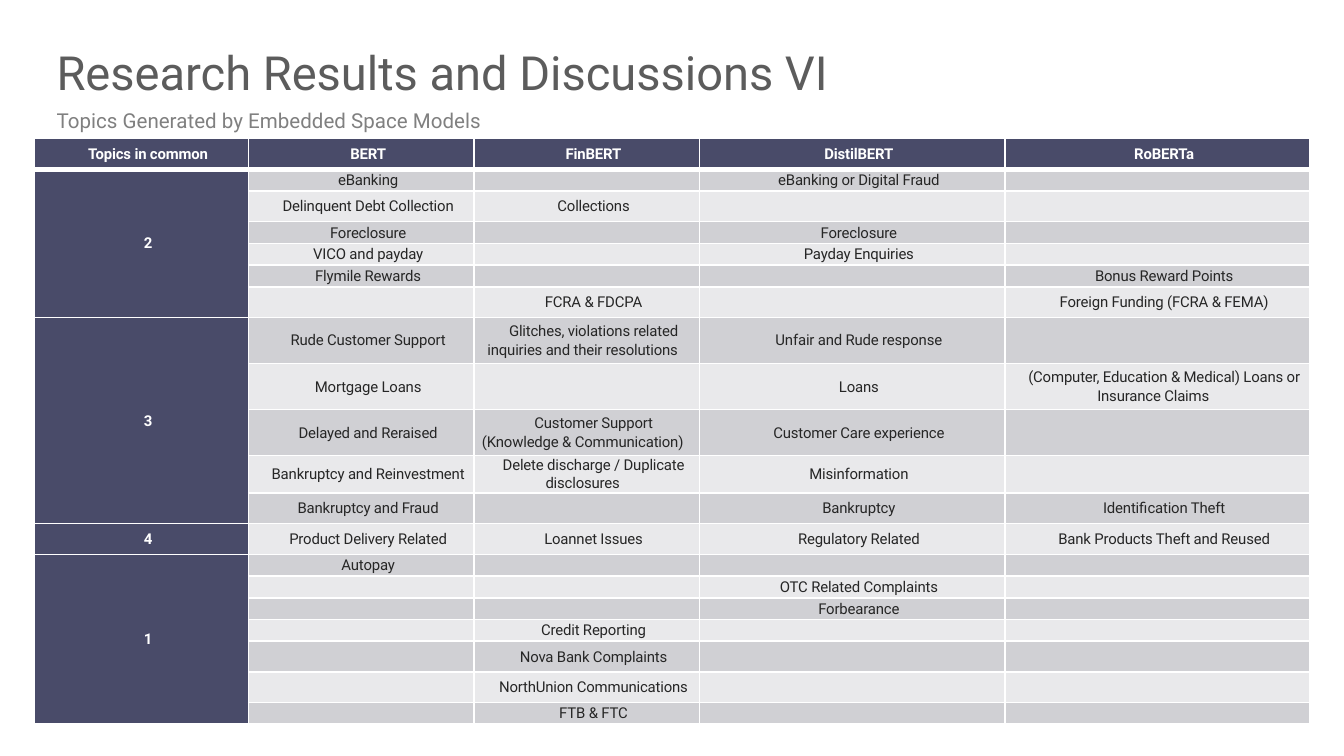
"""Build the slide comparing the topics found by four embedding models."""
from lxml.etree import SubElement
from pptx import Presentation
from pptx.dml.color import RGBColor as Rgb
from pptx.enum.text import MSO_ANCHOR as Anchor, PP_ALIGN as Align
from pptx.oxml.ns import qn
from pptx.util import Cm, Pt

COLORS = {"title": "5C5C5C", "subtitle": "808080", "header": "494B69", "dark_band": "D0D0D4",
          "light_band": "E9E9EB", "text": "262626", "white": "FFFFFF"}
FONT = "Roboto"
COLUMN_WIDTHS = [4.06, 4.26, 4.26, 5.77, 5.77]
LOW, MIDDLE, HIGH = 0.41, 0.58, 0.87
CELL_FORMAT = {"margin_left": 0, "margin_top": 0, "margin_right": Cm(0.15), "margin_bottom": 0,
               "vertical_anchor": Anchor.MIDDLE}
BOX_FORMAT = {"margin_left": 0, "margin_top": 0, "margin_right": 0, "margin_bottom": 0,
              "vertical_anchor": Anchor.MIDDLE}
HEADINGS = [
    ("Topics Generated by Embedded Space Models", 2.03, 0.48, 11, "subtitle", False),
    ("Research Results and Discussions VI", 0.79, 1.14, 25.2, "title", True),
]
ROWS = [
    (MIDDLE, "Topics in common", "BERT", "FinBERT", "DistilBERT", "RoBERTa"),
    (LOW, "2", "eBanking", "", "eBanking or Digital Fraud", ""),
    (MIDDLE, "", "Delinquent Debt Collection", "Collections", "", ""),
    (LOW, "", "Foreclosure", "", "Foreclosure", ""),
    (LOW, "", "VICO and payday", "", "Payday Enquiries", ""),
    (LOW, "", "Flymile Rewards", "", "", "Bonus Reward Points"),
    (MIDDLE, "", "", "FCRA & FDCPA", "", "Foreign Funding (FCRA & FEMA)"),
    (HIGH, "3", "Rude Customer Support",
     "Glitches, violations related inquiries and their resolutions", "Unfair and Rude response", ""),
    (HIGH, "", "Mortgage Loans", "", "Loans",
     "(Computer, Education & Medical) Loans or Insurance Claims"),
    (HIGH, "", "Delayed and Reraised", "Customer Support (Knowledge & Communication)",
     "Customer Care experience", ""),
    (MIDDLE, "", "Bankruptcy and Reinvestment", "Delete discharge / Duplicate disclosures",
     "Misinformation", ""),
    (MIDDLE, "", "Bankruptcy and Fraud", "", "Bankruptcy", "Identification Theft"),
    (MIDDLE, "4", "Product Delivery Related", "Loannet Issues", "Regulatory Related",
     "Bank Products Theft and Reused"),
    (LOW, "1", "Autopay", "", "", ""),
    (LOW, "", "", "", "OTC Related Complaints", ""),
    (LOW, "", "", "", "Forbearance", ""),
    (LOW, "", "", "Credit Reporting", "", ""),
    (MIDDLE, "", "", "Nova Bank Complaints", "", ""),
    (MIDDLE, "", "", "NorthUnion Communications", "", ""),
    (LOW, "", "", "FTB & FTC", "", ""),
]


def add_span(para, text, size, color, bold=False):
    span = para.add_run()
    span.text = text
    for name, value in {"name": FONT, "size": Pt(size), "bold": bold}.items():
        setattr(span.font, name, value)
    span.font.color.rgb = Rgb.from_string(COLORS[color])
    return span


def add_border(cell, side, width):
    line = SubElement(cell._tc.get_or_add_tcPr(), qn(f"a:ln{side}"), w=str(Pt(width)))
    fill = SubElement(line, qn("a:solidFill"))
    SubElement(fill, qn("a:srgbClr"), val=COLORS["white"])


deck = Presentation()
deck.slide_width, deck.slide_height = Cm(25.4), Cm(14.29)
page = deck.slides.add_slide(deck.slide_layouts[6])

for text, top, height, size, color, wrap in HEADINGS:
    box = page.shapes.add_textbox(Cm(1.07), Cm(top), Cm(23.24), Cm(height))
    for name, value in BOX_FORMAT.items():
        setattr(box.text_frame, name, value)
    box.text_frame.word_wrap = wrap
    para = box.text_frame.paragraphs[0]
    para.alignment = Align.LEFT
    add_span(para, text, size, color)

total_height = sum(row[0] for row in ROWS)
frame = page.shapes.add_table(len(ROWS), len(COLUMN_WIDTHS), Cm(0.64), Cm(2.62),
                              Cm(sum(COLUMN_WIDTHS)), Cm(total_height))
table = frame.table
table.horz_banding = False
for column, width in zip(table.columns, COLUMN_WIDTHS):
    column.width = Cm(width)

for row_index, (height, *texts) in enumerate(ROWS):
    table.rows[row_index].height = Cm(height)
    for column_index, text in enumerate(texts):
        cell = table.cell(row_index, column_index)
        heading = row_index == 0 or column_index == 0
        band = "dark_band" if row_index % 2 else "light_band"
        for name, value in CELL_FORMAT.items():
            setattr(cell, name, value)
        for side in "LRTB":
            thick = (row_index, side) in [(0, "B"), (1, "T")]
            add_border(cell, side, 3 if thick else 1)
        cell.fill.solid()
        cell.fill.fore_color.rgb = Rgb.from_string(COLORS["header" if heading else band])
        para = cell.text_frame.paragraphs[0]
        para.alignment, para.line_spacing = Align.CENTER, 1.05
        if text:
            para._p.get_or_add_pPr().set("indent", str(Cm(0.41)))
            span = add_span(para, text, 8, "white" if heading else "text", heading)
            span._r.get_or_add_rPr().set("spc", "-10")
        else:
            SubElement(para._p, qn("a:endParaRPr"), sz="800")

group_starts = [index for index, row in enumerate(ROWS) if row[1]] + [len(ROWS)]
for start, following in zip(group_starts, group_starts[1:]):
    if following - start > 1:
        table.cell(start, 0).merge(table.cell(following - 1, 0))

deck.save("out.pptx")
